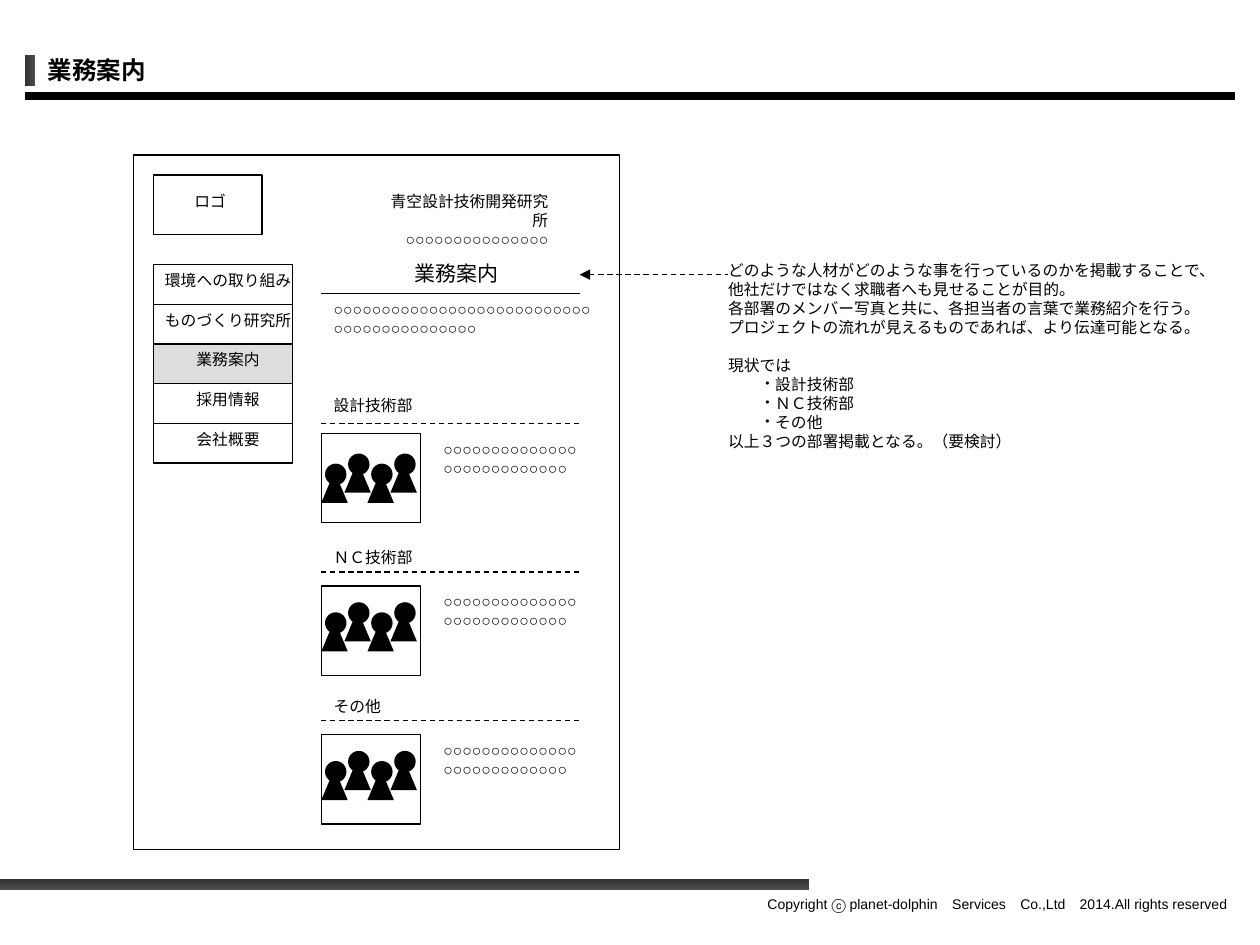
import dataclasses

import pptx
import pptx.dml.color
import pptx.enum.dml
import pptx.enum.shapes
import pptx.enum.text
import pptx.oxml.ns
import pptx.util
from lxml import etree

Inches = pptx.util.Inches
Pt = pptx.util.Pt
SHAPE = pptx.enum.shapes.MSO_SHAPE
ALIGN = pptx.enum.text.PP_ALIGN
ANCHOR = pptx.enum.text.MSO_ANCHOR
AUTO = pptx.enum.text.MSO_AUTO_SIZE
qn = pptx.oxml.ns.qn


@dataclasses.dataclass(frozen=True)
class Theme:
    """Colours, fonts and sizes of the slide."""
    ink: str = "000000"
    paper: str = "FFFFFF"
    active: str = "DDDDDD"
    dark: str = "333333"
    mid: str = "4D4D4D"
    body_font: str = "Arial"
    title_font: str = "Noto Sans CJK JP"
    title: float = 14
    heading: float = 12
    body: float = 9
    small: float = 8
    thin: float = 0.75
    thick: float = 4.5


THEME = Theme()


def rgb(value):
    """Return a colour object for a hex string."""
    return pptx.dml.color.RGBColor.from_string(value)


def add_shape(shapes, kind, x, y, w, h, fill, outlined=False):
    """Add a filled preset shape, with a thin outline on request."""
    sp = shapes.add_shape(kind, Inches(x), Inches(y), Inches(w), Inches(h))
    sp.shadow.inherit = False
    sp.fill.solid()
    sp.fill.fore_color.rgb = rgb(fill)
    if outlined:
        sp.line.color.rgb = rgb(THEME.ink)
        sp.line.width = Pt(THEME.thin)
    else:
        sp.line.fill.background()
    return sp


def add_gradient_bar(shapes, x, y, w, h, angle):
    """Add a dark bar with a two-stop gradient."""
    sp = add_shape(shapes, SHAPE.RECTANGLE, x, y, w, h, THEME.dark)
    sp.fill.gradient()
    sp.fill.gradient_angle = angle
    for stop, colour in zip(sp.fill.gradient_stops, (THEME.dark, THEME.mid)):
        stop.color.rgb = rgb(colour)


def add_line(shapes, x1, x2, y, width=THEME.thin, dashed=False, arrow=False):
    """Add a horizontal line, with an arrowhead at its start on request."""
    cxn = shapes.add_connector(pptx.enum.shapes.MSO_CONNECTOR.STRAIGHT,
                               Inches(x1), Inches(y), Inches(x2), Inches(y))
    cxn.line.color.rgb = rgb(THEME.ink)
    cxn.line.width = Pt(width)
    if dashed:
        cxn.line.dash_style = pptx.enum.dml.MSO_LINE.DASH
    if arrow:
        etree.SubElement(cxn.line._get_or_add_ln(), qn("a:headEnd"), type="triangle")
    etree.SubElement(cxn._element.spPr, qn("a:effectLst"))


def add_run(p, text, size=THEME.body, font=THEME.body_font, bold=False):
    """Add a run that uses one font for Latin and East Asian text."""
    r = p.add_run()
    r.text = text
    r.font.size = Pt(size)
    r.font.bold = bold
    r.font.name = font
    r.font.color.rgb = rgb(THEME.ink)
    r._r.rPr.find(qn("a:latin")).addnext(
        etree.Element(qn("a:ea"), typeface=font))


def add_text(shapes, x, y, w, h, lines, align=ALIGN.LEFT, wrap=True, **style):
    """Add a text box with one paragraph per line and return its frame."""
    tf = shapes.add_textbox(Inches(x), Inches(y), Inches(w), Inches(h)).text_frame
    tf.word_wrap = wrap
    tf.auto_size = AUTO.SHAPE_TO_FIT_TEXT
    for i, line in enumerate(lines):
        p = tf.add_paragraph() if i else tf.paragraphs[0]
        p.alignment = align
        add_run(p, line, **style)
    return tf


def add_bullet(p):
    """Indent a paragraph and give it a middle-dot bullet."""
    pPr = p._p.get_or_add_pPr()
    pPr.set("marL", str(Inches(0.3)))
    pPr.set("indent", str(-Inches(0.05)))
    font = etree.SubElement(pPr, qn("a:buFont"))
    font.set("typeface", THEME.body_font)
    etree.SubElement(pPr, qn("a:buChar")).set("char", "・")


def add_header(shapes, x, y, w):
    """Place the marker, the slide title and the thick rule."""
    add_line(shapes, x, x + w, y + 0.4, THEME.thick)
    add_gradient_bar(shapes, x, y + 0.08, 0.08, 0.24, 0)
    tf = add_text(shapes, x + 0.08, y, 6.06, 0.38, ["業務案内"],
                  size=THEME.title, font=THEME.title_font, bold=True)
    tf.auto_size = AUTO.NONE
    tf.vertical_anchor = ANCHOR.MIDDLE


def add_footer(shapes, x, y, w):
    """Place the bottom bar and the copyright line."""
    add_gradient_bar(shapes, x, y, 6.42, 0.08, 270)
    add_text(shapes, x + w - 4.29, y + 0.08, 4.29, 0.24,
             ["Copyright ⓒ planet-dolphin　Services　Co.,Ltd　2014.All rights reserved"],
             ALIGN.RIGHT, size=THEME.small)


def add_masthead(shapes, x, y):
    """Place the logo box and the organisation name."""
    add_shape(shapes, SHAPE.RECTANGLE, x, y, 0.86, 0.47, THEME.paper, True)
    add_text(shapes, x + 0.22, y + 0.08, 0.45, 0.25, ["ロゴ"], ALIGN.RIGHT, False)
    add_text(shapes, x + 1.66, y + 0.08, 1.57, 0.4,
             ["青空設計技術開発研究所", "○" * 15], ALIGN.RIGHT, False)


def add_menu(shapes, x, y, w, active):
    """Place the side menu and shade its active entry."""
    labels = ["環境への取り組み", "ものづくり研究所", "業務案内", "採用情報", "会社概要"]
    pitch = 0.315
    for i, label in enumerate(labels):
        top = y + i * pitch
        fill = THEME.active if label == active else THEME.paper
        add_shape(shapes, SHAPE.RECTANGLE, x, top, w, pitch, fill, True)
        text_w = 0.2 + len(label) * 0.125
        add_text(shapes, x + 0.04 + (w - text_w) / 2, top, text_w, 0.25,
                 [label], ALIGN.CENTER, False)


def add_intro(shapes, x, y, w):
    """Place the page heading, its rule and the lead text."""
    add_text(shapes, x + 0.32, y, 1.5, 0.3, ["業務案内"], ALIGN.CENTER, size=THEME.heading)
    add_text(shapes, x, y + 0.31, 2.28, 0.4, ["○" * 42])
    add_line(shapes, x, x + w, y + 0.31)


def add_people(shapes, x, y):
    """Place four figures, alternately lower and higher."""
    for i in range(4):
        left, top = x + i * 0.183, y + (0.08 if i % 2 == 0 else 0)
        person = shapes.add_group_shape().shapes
        add_shape(person, SHAPE.OVAL, left + 0.03, top, 0.17, 0.17, THEME.ink)
        add_shape(person, SHAPE.ISOSCELES_TRIANGLE, left, top + 0.06, 0.21, 0.25, THEME.ink)


def add_department(shapes, x, y, w, name, rule):
    """Place a department's label, dashed rule, team photo and text."""
    add_text(shapes, x, y, 1.81, 0.25, [name])
    add_line(shapes, x, x + w, y + rule, dashed=True)
    add_shape(shapes, SHAPE.RECTANGLE, x, y + 0.35, 0.79, 0.71, THEME.paper, True)
    add_text(shapes, x + 0.87, y + 0.35, 1.26, 0.4, ["○" * 27])
    add_people(shapes, x, y + rule + 0.24)


def add_wireframe(shapes, x, y, w, h):
    """Place the page frame and every part inside it."""
    add_shape(shapes, SHAPE.RECTANGLE, x, y, w, h, THEME.paper, True)
    add_masthead(shapes, x + 0.16, y + 0.16)
    add_menu(shapes, x + 0.16, y + 0.87, 1.1, "業務案内")
    add_intro(shapes, x + 1.49, y + 0.79, 2.05)
    departments = [("設計技術部", 1.86, 0.27), ("ＮＣ技術部", 3.07, 0.24), ("その他", 4.25, 0.24)]
    for name, top, rule in departments:
        add_department(shapes, x + 1.49, y + top, 2.05, name, rule)


def add_note(shapes, x, y, w, h):
    """Place the explanation and its arrow to the page heading."""
    add_line(shapes, x - 1.08, x + 0.1, y + 0.16, dashed=True, arrow=True)
    bullets = ["設計技術部", "ＮＣ技術部", "その他"]
    lines = ["どのような人材がどのような事を行っているのかを掲載することで、",
             "他社だけではなく求職者へも見せることが目的。",
             "各部署のメンバー写真と共に、各担当者の言葉で業務紹介を行う。",
             "プロジェクトの流れが見えるものであれば、より伝達可能となる。",
             "現状では", *bullets, "以上３つの部署掲載となる。（要検討）"]
    tf = add_text(shapes, x, y, w, h, lines, wrap=False)
    for p in tf.paragraphs:
        if p.text in bullets:
            add_bullet(p)
        elif p.text == "現状では":
            p.space_before = Pt(11)


def main():
    """Build the slide and save it."""
    prs = pptx.Presentation()
    prs.slide_width, prs.slide_height = Inches(10), Inches(7.5)
    shapes = prs.slides.add_slide(prs.slide_layouts[6]).shapes
    add_header(shapes, 0.2, 0.36, 9.6)
    add_footer(shapes, 0, 6.98, 9.84)
    add_wireframe(shapes, 1.06, 1.23, 3.86, 5.51)
    add_note(shapes, 5.68, 2.02, 4.07, 1.61)
    prs.save("out.pptx")


if __name__ == "__main__":
    main()
